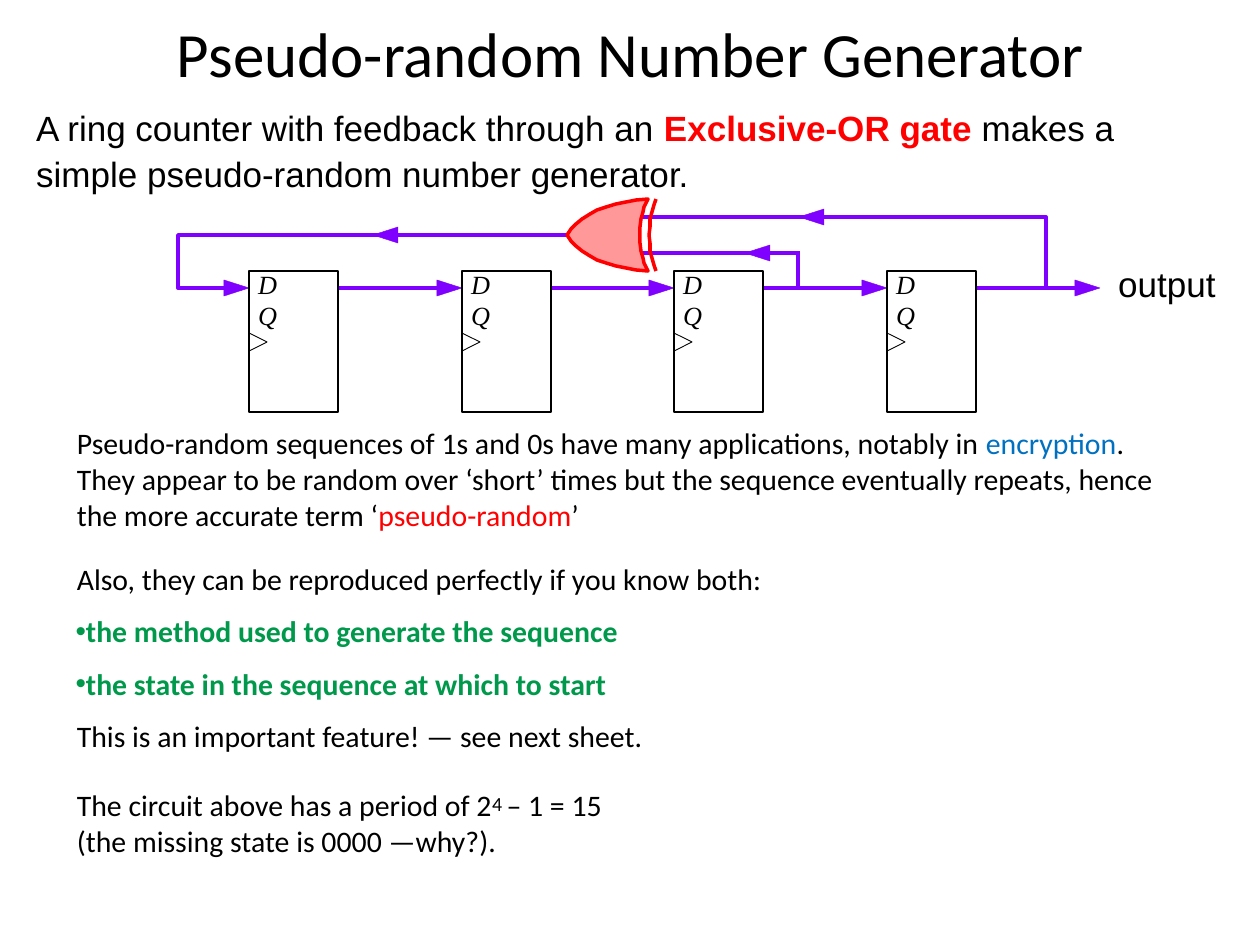
"""Build the pseudo-random number generator slide."""
from lxml.etree import SubElement as sub
from pptx import Presentation
from pptx.dml.color import RGBColor
from pptx.enum.shapes import MSO_CONNECTOR as Link
from pptx.enum.text import MSO_ANCHOR as Anchor, MSO_AUTO_SIZE as Fit, PP_ALIGN as Align
from pptx.oxml.ns import qn
from pptx.util import Pt

PX = 914400 / 126
WIRE, RED, GREEN, BLACK = "7F00FF", "FF0000", "00994C", "000000"
BASE = {"name": "Calibri", "size": Pt(17), "bold": False, "italic": False}
ARIAL = {"name": "Arial", "size": Pt(20)}
PIN = {"name": "Times New Roman", "size": Pt(15), "italic": True}
BOLD = {"bold": True}

TITLE = [{"runs": [("Pseudo-random Number Generator", BLACK, {"size": Pt(36)})], "align": Align.CENTER}]
INTRO = [{"runs": [
    ("A ring counter with feedback through an ", BLACK, ARIAL),
    ("Exclusive-OR gate ", RED, ARIAL | BOLD),
    ("makes a simple pseudo-random number generator.", BLACK, ARIAL)], "lead": 1.1}]
OUTPUT = [{"runs": [("output", BLACK, ARIAL)]}]
PINS = [{"runs": [("D\tQ", BLACK, PIN)], "tabs": [0, 47, 126, 252]}]
BODY = [
    {"runs": [
        ("Pseudo-random sequences of 1s and 0s have many applications, notably in ", BLACK, {}),
        ("encryption", "0070C0", {}),
        (". They appear to be random over ‘short’ times but the sequence eventually repeats, "
         "hence the more accurate term ‘", BLACK, {}),
        ("pseudo-random", RED, {}),
        ("’", BLACK, {})], "lead": 1.01},
    {"runs": [("Also, they can be reproduced perfectly if you know both:", BLACK, {})], "gap": 16},
    {"runs": [("the method used to generate the sequence", GREEN, BOLD)], "gap": 9.6, "dot": GREEN},
    {"runs": [("the state in the sequence at which to start", GREEN, BOLD)], "gap": 9.6, "dot": GREEN},
    {"runs": [("This is an important feature! — see next sheet.", BLACK, {})], "gap": 9.6},
    {"runs": [
        ("The circuit above has a period of 2", BLACK, {}),
        ("4 ", BLACK, {"size": Pt(19.6), "raise": 12}),
        ("– 1 = 15", BLACK, {})], "gap": 16},
    {"runs": [("(the missing state is 0000 —why?).", BLACK, {})]},
]

COUNT, LEFT, TOP, WIDE, HIGH, SPAN = 4, 249, 271, 89, 141, 638
ROW, MID, HEAD, HALF = 288, 235, 25, 8
LEFTS = [LEFT + round(i * SPAN / (COUNT - 1)) for i in range(COUNT)]
END = LEFTS[-1] + WIDE
WIRES = [
    [(798, ROW), (798, 253), (640, 253)],
    [(END, ROW), (1046, ROW), (1046, 217), (640, 217)],
    [(569, MID), (178, MID), (178, ROW), (213, ROW)],
]
ARROWS = [(a + WIDE, b, ROW) for a, b in zip(LEFTS, LEFTS[1:])] + [
    (178, LEFT, ROW), (END, 1100, ROW), (428, 373, MID), (853, 799, 217), (800, 745, 253)]
GATE = [(567, 235), (571, 229), (576, 224), (582, 219), (590, 214), (597, 210), (606, 207),
        (616, 204), (626, 202), (636, 200), (648, 199), (644, 207), (643, 212), (641, 219),
        (640, 227), (640, 235)]
ARC = [(656, 199), (654, 205), (652, 212), (650, 219), (650, 227), (649, 235)]


def emu(n):
    return round(n * PX)


def tint(code):
    return RGBColor.from_string(code)


def place(shape, box):
    for name, val in zip(("left", "top", "width", "height"), box):
        setattr(shape, name, emu(val))


def write(frame, paras, inset=True, anchor=Anchor.TOP):
    form = {"word_wrap": True, "auto_size": Fit.NONE, "vertical_anchor": anchor}
    if not inset:
        form |= {"margin_" + side: 0 for side in ("left", "right", "top", "bottom")}
    for name, val in form.items():
        setattr(frame, name, val)
    for i, item in enumerate(paras):
        para = frame.add_paragraph() if i else frame.paragraphs[0]
        prop = para._p.get_or_add_pPr()
        prop.set("marL", "0" if "dot" in item else "9144")
        prop.set("indent", "0")
        if "dot" in item:
            sub(sub(prop, qn("a:buClr")), qn("a:srgbClr"), val=item["dot"])
            sub(prop, qn("a:buChar"), char="•")
        else:
            sub(prop, qn("a:buNone"))
        if "tabs" in item:
            stops = sub(prop, qn("a:tabLst"))
            for stop in item["tabs"]:
                sub(stops, qn("a:tab"), pos=str(emu(stop)), algn="l")
        form = {"alignment": item.get("align", Align.LEFT), "line_spacing": item.get("lead", 1.0),
                "space_before": Pt(item.get("gap", 0)), "space_after": Pt(0)}
        for name, val in form.items():
            setattr(para, name, val)
        for text, color, style in item["runs"]:
            run = para.add_run()
            run.text = text
            run.font.color.rgb = tint(color)
            for name, val in (BASE | style).items():
                if name == "raise":
                    run._r.get_or_add_rPr().set("baseline", str(val * 1000))
                else:
                    setattr(run.font, name, val)


def label(shapes, box, paras):
    shape = shapes.add_textbox(*map(emu, box))
    write(shape.text_frame, paras, inset=False)


def draw(shapes, pts, color, width, fill=None, close=False):
    pen = shapes.build_freeform(*pts[0], scale=PX)
    pen.add_line_segments(pts[1:], close=close)
    shape = pen.convert_to_shape()
    shape.shadow.inherit = False
    shape.line.color.rgb = tint(color)
    shape.line.width = Pt(width)
    if fill:
        shape.fill.solid()
        shape.fill.fore_color.rgb = tint(fill)
    else:
        shape.fill.background()


def arrow(shapes, start, stop, y):
    base = stop - HEAD if stop > start else stop + HEAD
    link = shapes.add_connector(Link.STRAIGHT, *map(emu, (start, y, base, y)))
    link.line.color.rgb = tint(WIRE)
    link.line.width = Pt(2)
    sub(link._element.spPr, qn("a:effectLst"))
    draw(shapes, [(base, y - HALF), (stop, y), (base, y + HALF)], WIRE, 0.25, WIRE, True)


def mirror(half):
    return half + [(x, 2 * MID - y) for x, y in half[-2::-1]]


def main():
    deck = Presentation()
    deck.slide_width, deck.slide_height = emu(1260), emu(945)
    slide = deck.slides.add_slide(deck.slide_layouts[1])
    shapes = slide.shapes
    title, body = slide.placeholders
    place(title, (63, 5, 1134, 95))
    write(title.text_frame, TITLE, anchor=Anchor.MIDDLE)
    place(body, (63, 418, 1134, 442))
    write(body.text_frame, BODY)

    for pts in WIRES:
        draw(shapes, pts, WIRE, 2)
    for ends in ARROWS:
        arrow(shapes, *ends)
    for x in LEFTS:
        box = [(x, TOP), (x + WIDE, TOP), (x + WIDE, TOP + HIGH), (x, TOP + HIGH)]
        draw(shapes, box, BLACK, 1, "FFFFFF", True)
        draw(shapes, [(x, 333), (x + 18, 342), (x, 351)], BLACK, 0.5)
        label(shapes, (x + 8, 268, 74, 35), PINS)
    draw(shapes, mirror(GATE)[:-1], RED, 2, "FF9999", True)
    draw(shapes, mirror(ARC), RED, 2)
    label(shapes, (1117, 262, 102, 44), OUTPUT)
    label(shapes, (35, 102, 1186, 96), INTRO)
    deck.save("out.pptx")


if __name__ == "__main__":
    main()
